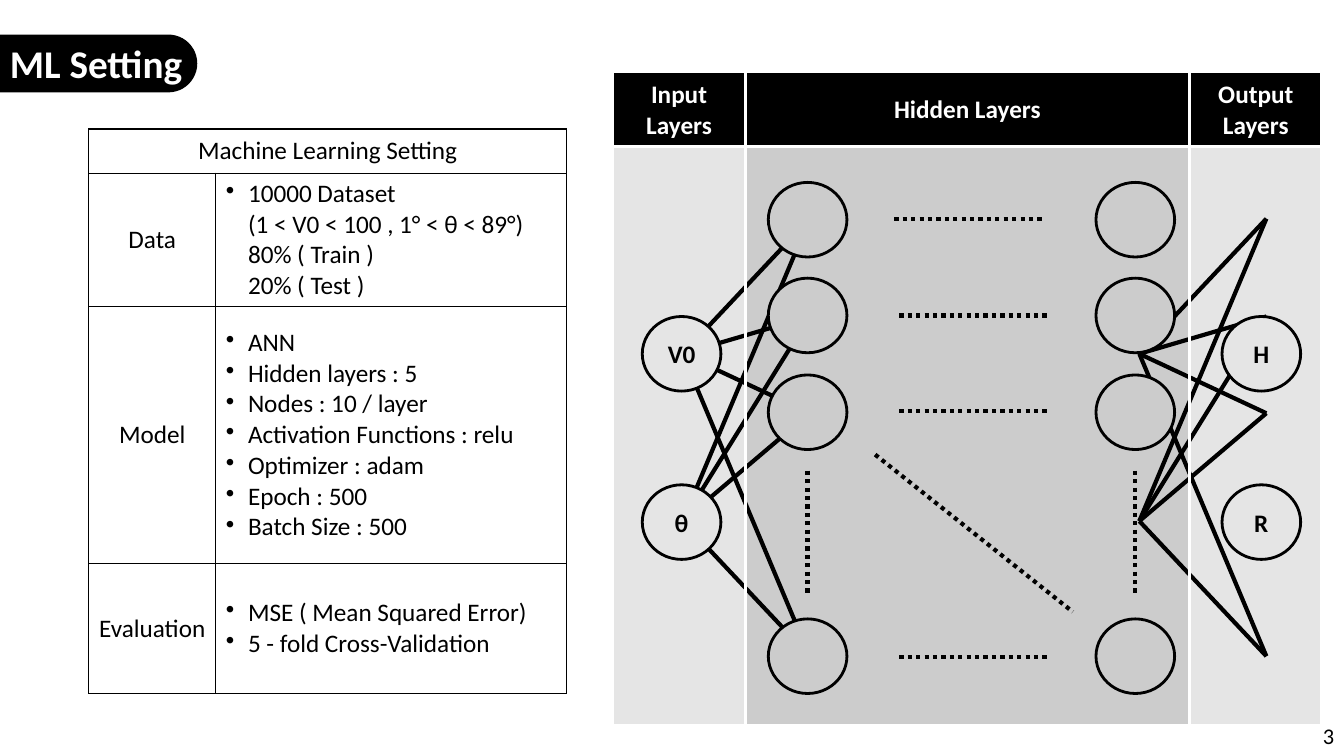
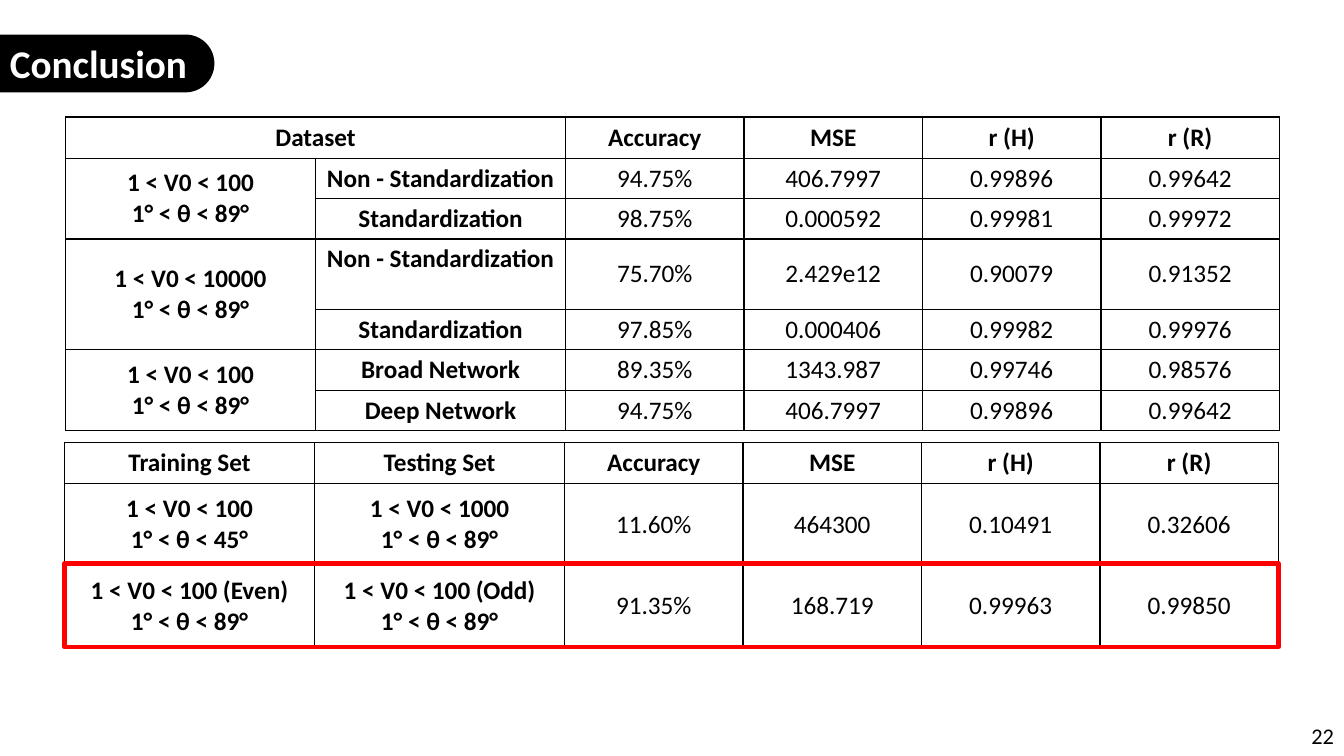
from dataclasses import dataclass
from itertools import product
from typing import Optional

from lxml import etree
from pptx import Presentation
from pptx import util as u
from pptx.dml.color import RGBColor
from pptx.enum import dml, shapes, text
from pptx.oxml import ns


@dataclass(frozen=True)
class Theme:
    black: str = "000000"
    white: str = "FFFFFF"
    red: str = "FF0000"
    font: str = "Calibri"
    title_size: int = 28
    body_size: int = 18
    number_size: int = 16
    bullet_indent: float = 0.22


@dataclass(frozen=True)
class Box:
    left: float
    top: float
    width: float
    height: float

    def lengths(self) -> tuple:
        return tuple(u.Inches(v) for v in (self.left, self.top, self.width, self.height))


@dataclass(frozen=True)
class Line:
    x1: float
    y1: float
    x2: float
    y2: float
    dotted: bool = False


@dataclass(frozen=True)
class Node:
    left: float
    top: float
    label: str = ""


@dataclass(frozen=True)
class Layer:
    label: str
    left: float
    width: float
    opacity: int


@dataclass(frozen=True)
class Grid:
    left: float
    top: float
    columns: list
    heights: list
    rows: list
    merges: tuple = ()          # first row, first column, last row, last column
    bold_columns: int = 0
    bold_header: bool = False
    top_cells: tuple = ()       # cells whose text sits at the top


THEME = Theme()
CENTER, LEFT, RIGHT = text.PP_ALIGN.CENTER, text.PP_ALIGN.LEFT, text.PP_ALIGN.RIGHT
SHAPE = shapes.MSO_SHAPE


# Text and shape helpers
def write(frame, content: str, size: int, color: str, bold: bool = False, align=CENTER) -> None:
    """Write one paragraph per line; a leading bullet makes a list item."""
    frame.word_wrap = True
    in_list = content.startswith("•")
    for index, line in enumerate(content.split("\n")):
        paragraph = frame.paragraphs[0] if index == 0 else frame.add_paragraph()
        paragraph.text = line.lstrip("• ")
        paragraph.alignment = LEFT if in_list else align
        font = paragraph.font
        font.name, font.size, font.bold = THEME.font, u.Pt(size), bold
        font.color.rgb = RGBColor.from_string(color)
        if in_list:
            properties = paragraph._p.get_or_add_pPr()
            indent = u.Inches(THEME.bullet_indent)
            properties.set("marL", str(indent))
            properties.set("indent", str(-indent if line.startswith("•") else 0))
            if line.startswith("•"):
                bullet = etree.Element(ns.qn("a:buChar"), char="•")
            else:
                bullet = etree.Element(ns.qn("a:buNone"))
            properties.insert(0, bullet)


def add_label(slide, box: Box, content: str, size: int, color: str,
              bold: bool = False, align=LEFT, anchor=text.MSO_ANCHOR.TOP) -> None:
    frame = slide.shapes.add_textbox(*box.lengths()).text_frame
    frame.vertical_anchor = anchor
    write(frame, content, size, color, bold, align)


def add_box(slide, kind, box: Box, line_color: str, line_width: float,
            fill: Optional[str] = None, opacity: int = 100, label: str = "",
            label_color: str = THEME.black):
    shape = slide.shapes.add_shape(kind, *box.lengths())
    shape.shadow.inherit = False
    shape.line.color.rgb = RGBColor.from_string(line_color)
    shape.line.width = u.Pt(line_width)
    if fill is None:
        shape.fill.background()
    else:
        shape.fill.solid()
        shape.fill.fore_color.rgb = RGBColor.from_string(fill)
    if opacity < 100:
        color = shape.element.spPr.find(f"{ns.qn('a:solidFill')}/{ns.qn('a:srgbClr')}")
        etree.SubElement(color, ns.qn("a:alpha"), val=str(opacity * 1000))
    if label:
        shape.text_frame.vertical_anchor = text.MSO_ANCHOR.MIDDLE
        write(shape.text_frame, label, THEME.body_size, label_color, bold=True)
    return shape


def add_line(slide, line: Line) -> None:
    ends = (u.Inches(v) for v in (line.x1, line.y1, line.x2, line.y2))
    connector = slide.shapes.add_connector(shapes.MSO_CONNECTOR.STRAIGHT, *ends)
    connector.line.color.rgb = RGBColor.from_string(THEME.black)
    connector.line.width = u.Pt(3)
    if line.dotted:
        connector.line.dash_style = dml.MSO_LINE.ROUND_DOT
    etree.SubElement(connector.element.spPr, ns.qn("a:effectLst"))


# Table helpers
def add_borders(cell) -> None:
    properties = cell._tc.get_or_add_tcPr()
    for index, side in enumerate(("lnL", "lnR", "lnT", "lnB")):
        border = etree.Element(ns.qn(f"a:{side}"), w=str(u.Pt(1)))
        fill = etree.SubElement(border, ns.qn("a:solidFill"))
        etree.SubElement(fill, ns.qn("a:srgbClr"), val=THEME.black)
        properties.insert(index, border)


def add_grid(slide, grid: Grid) -> None:
    box = Box(grid.left, grid.top, sum(grid.columns), sum(grid.heights))
    table = slide.shapes.add_table(len(grid.rows), len(grid.columns), *box.lengths()).table
    table.first_row = table.horz_banding = False
    for column, width in zip(table.columns, grid.columns):
        column.width = u.Inches(width)
    for row, height in zip(table.rows, grid.heights):
        row.height = u.Inches(height)
    for first_row, first_column, last_row, last_column in grid.merges:
        table.cell(first_row, first_column).merge(table.cell(last_row, last_column))
    for r, row in enumerate(grid.rows):
        for c, content in enumerate(row):
            cell = table.cell(r, c)
            cell.fill.solid()
            cell.fill.fore_color.rgb = RGBColor.from_string(THEME.white)
            add_borders(cell)
            at_top = (r, c) in grid.top_cells
            cell.vertical_anchor = text.MSO_ANCHOR.TOP if at_top else text.MSO_ANCHOR.MIDDLE
            if content:
                bold = c < grid.bold_columns or (grid.bold_header and r == 0)
                write(cell.text_frame, content, THEME.body_size, THEME.black, bold)


# Shared slide frame: title tab and page number
def add_slide(presentation, title: str, number: int, tab_width: float):
    slide = presentation.slides.add_slide(presentation.slide_layouts[6])
    add_label(slide, Box(10.33, 7.1, 3, 0.4), str(number), THEME.number_size, THEME.black,
              align=RIGHT, anchor=text.MSO_ANCHOR.MIDDLE)
    tab = add_box(slide, SHAPE.ROUNDED_RECTANGLE, Box(-0.62, 0.35, tab_width, 0.56),
                  THEME.black, 1, THEME.black)
    tab.adjustments[0] = 0.5
    add_label(slide, Box(0, 0.34, tab_width - 0.5, 0.57), title, THEME.title_size,
              THEME.white, bold=True)
    return slide


# Machine learning setting
SETTING = Grid(
    0.88, 1.28, [1.26, 3.48], [0.44, 1.32, 2.55, 1.29],
    [
        ["Machine Learning Setting", ""],
        ["Data", "• 10000 Dataset\n(1 < V0 < 100 , 1° < θ < 89°)\n80% ( Train )\n20% ( Test )"],
        ["Model", "• ANN\n• Hidden layers : 5\n• Nodes : 10 / layer\n"
                  "• Activation Functions : relu\n• Optimizer : adam\n"
                  "• Epoch : 500\n• Batch Size : 500"],
        ["Evaluation", "• MSE ( Mean Squared Error)\n• 5 - fold Cross-Validation"],
    ],
    merges=((0, 0, 0, 1),),
)
LAYERS = (
    Layer("Input\nLayers", 6.08, 1.31, 10),
    Layer("Hidden Layers", 7.39, 4.41, 20),
    Layer("Output\nLayers", 11.8, 1.31, 10),
)
FIRST_HIDDEN, LAST_HIDDEN = 7.62, 10.87
HIDDEN_TOPS = (1.81, 2.76, 3.72, 6.14)
INPUT_NODES = (Node(6.37, 3.14, "V0"), Node(6.37, 4.81, "θ"))
OUTPUT_NODES = (Node(12.12, 3.14, "H"), Node(12.12, 4.81, "R"))
DOTTED_LINES = (
    Line(8.01, 4.67, 8.01, 5.92, True),
    Line(11.26, 4.67, 11.26, 5.92, True),
    Line(8.87, 2.17, 10.34, 2.17, True),
    *(Line(8.92, y, 10.4, y, True) for y in (3.13, 4.08, 6.52)),
    Line(8.68, 4.51, 10.64, 6.07, True),
)


def add_links(slide, left: float) -> None:
    for start, end in product((3.51, 5.17), (2.17, 3.14, 4.1, 6.51)):
        add_line(slide, Line(left, start, left + 1.26, end))


def add_nodes(slide, nodes) -> None:
    for node in nodes:
        add_box(slide, SHAPE.OVAL, Box(node.left, node.top, 0.78, 0.74),
                THEME.black, 2, THEME.white, label=node.label)


def build_setting(presentation) -> None:
    slide = add_slide(presentation, "ML Setting", 3, 2.57)
    add_grid(slide, SETTING)
    # Network
    for line in DOTTED_LINES:
        add_line(slide, line)
    add_links(slide, 6.77)
    add_nodes(slide, [Node(FIRST_HIDDEN, top) for top in HIDDEN_TOPS])
    add_nodes(slide, INPUT_NODES)
    add_links(slide, 11.3)
    add_nodes(slide, OUTPUT_NODES)
    add_nodes(slide, [Node(LAST_HIDDEN, top) for top in HIDDEN_TOPS])
    # Layer headings and tinted bands
    for layer in LAYERS:
        add_box(slide, SHAPE.RECTANGLE, Box(layer.left, 0.71, layer.width, 0.74),
                THEME.white, 2, THEME.black, label=layer.label, label_color=THEME.white)
    for layer in LAYERS:
        add_box(slide, SHAPE.RECTANGLE, Box(layer.left, 1.45, layer.width, 5.75),
                THEME.white, 2, THEME.black, layer.opacity)


# Conclusion
RESULT_COLUMNS = [2.48] * 2 + [1.77] * 4
MEASURES = ["Accuracy", "MSE", "r (H)", "r (R)"]
SMALL_RANGE = "1 < V0 < 100\n1° < θ < 89°"
DATASETS = Grid(
    0.65, 1.16, RESULT_COLUMNS, [0.41, 0.4, 0.4, 0.7, 0.4, 0.4, 0.4],
    [
        ["Dataset", "", *MEASURES],
        [SMALL_RANGE, "Non - Standardization", "94.75%", "406.7997", "0.99896", "0.99642"],
        ["", "Standardization", "98.75%", "0.000592", "0.99981", "0.99972"],
        ["1 < V0 < 10000\n1° < θ < 89°", "Non - Standardization",
         "75.70%", "2.429e12", "0.90079", "0.91352"],
        ["", "Standardization", "97.85%", "0.000406", "0.99982", "0.99976"],
        [SMALL_RANGE, "Broad Network", "89.35%", "1343.987", "0.99746", "0.98576"],
        ["", "Deep Network", "94.75%", "406.7997", "0.99896", "0.99642"],
    ],
    merges=((0, 0, 0, 1), (1, 0, 2, 0), (3, 0, 4, 0), (5, 0, 6, 0)),
    bold_columns=2, bold_header=True, top_cells=((3, 1),),
)
SPLITS = Grid(
    0.64, 4.39, RESULT_COLUMNS, [0.41, 0.81, 0.81],
    [
        ["Training Set", "Testing Set", *MEASURES],
        ["1 < V0 < 100\n1° < θ < 45°", "1 < V0 < 1000\n1° < θ < 89°",
         "11.60%", "464300", "0.10491", "0.32606"],
        ["1 < V0 < 100 (Even)\n1° < θ < 89°", "1 < V0 < 100 (Odd)\n1° < θ < 89°",
         "91.35%", "168.719", "0.99963", "0.99850"],
    ],
    bold_columns=2, bold_header=True,
)


def build_conclusion(presentation) -> None:
    slide = add_slide(presentation, "Conclusion", 22, 2.74)
    add_grid(slide, DATASETS)
    add_grid(slide, SPLITS)
    add_box(slide, SHAPE.RECTANGLE, Box(0.64, 5.59, 12.04, 0.83), THEME.red, 3)


def main() -> None:
    presentation = Presentation()
    presentation.slide_width, presentation.slide_height = u.Inches(13.33), u.Inches(7.5)
    build_setting(presentation)
    build_conclusion(presentation)
    presentation.save("out.pptx")


if __name__ == "__main__":
    main()
